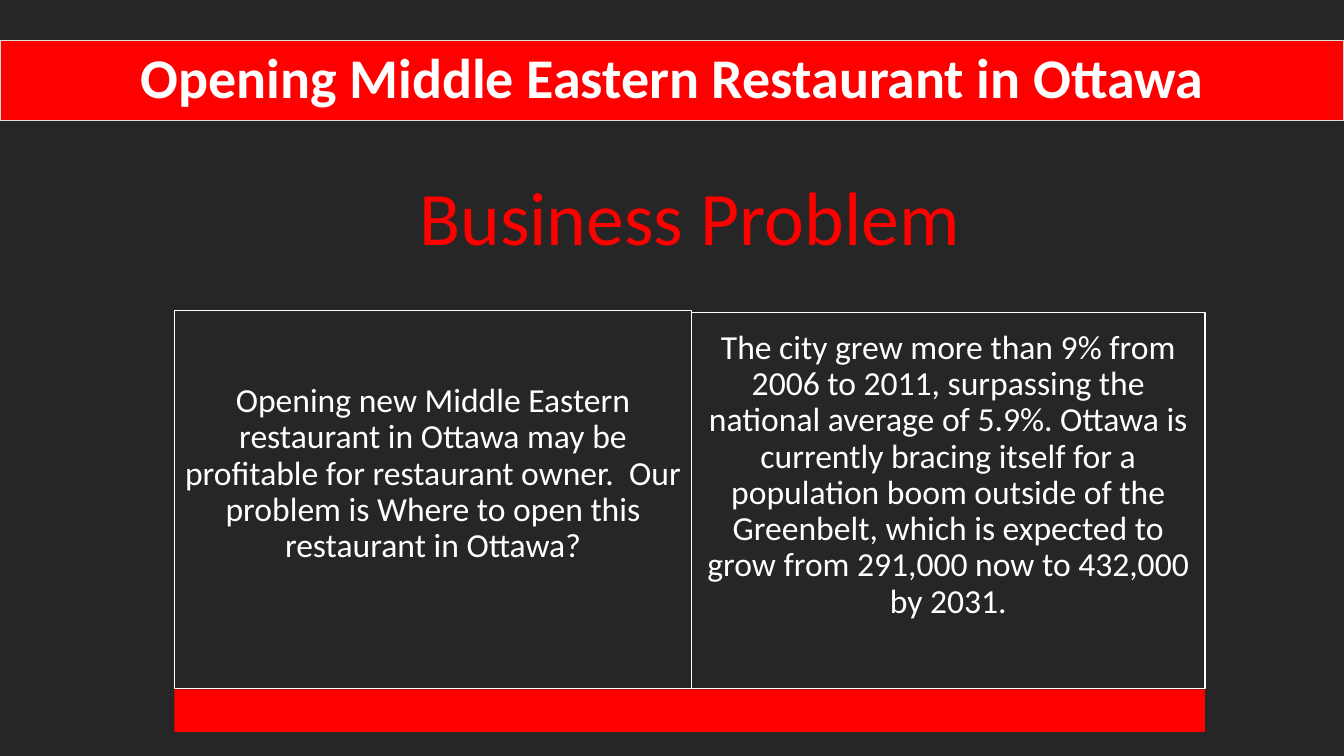
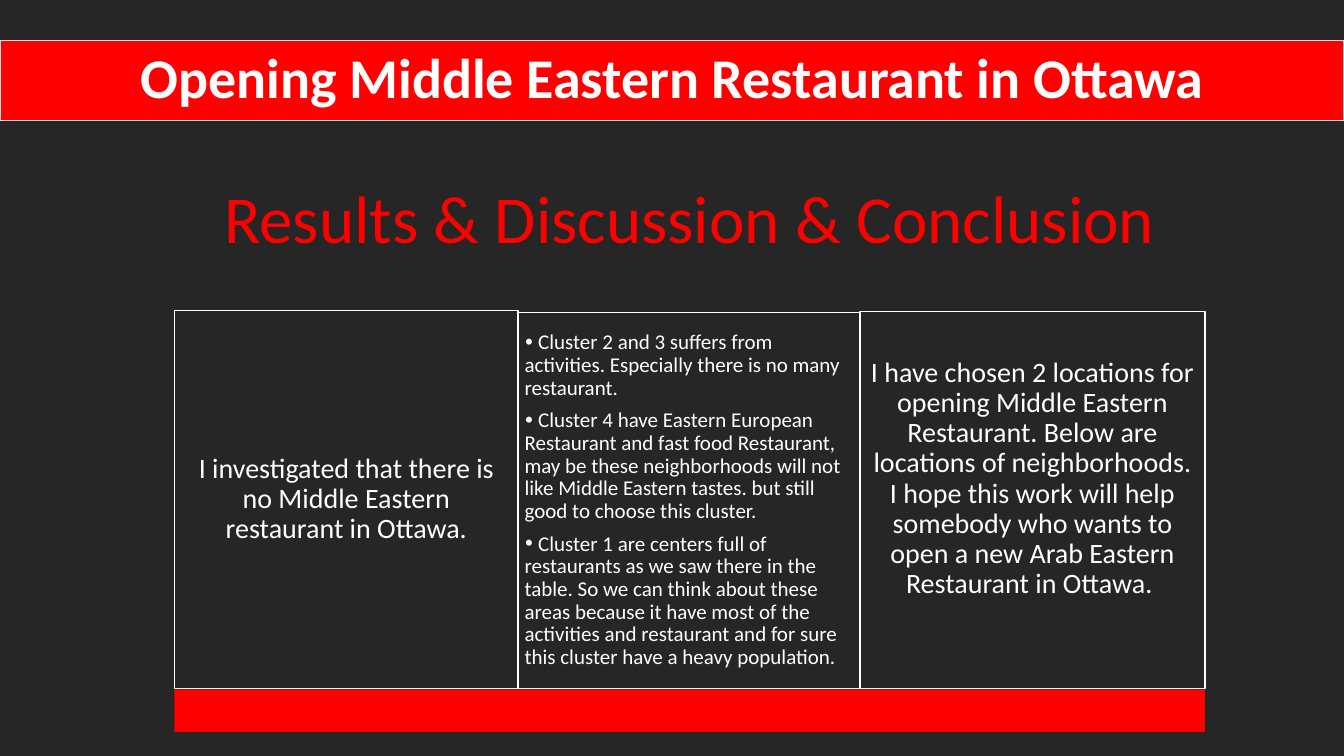
from dataclasses import dataclass

from lxml.etree import SubElement
from pptx import Presentation
from pptx.dml.color import RGBColor
from pptx.enum.shapes import MSO_SHAPE as Shape
from pptx.enum.text import MSO_ANCHOR as Anchor, MSO_AUTO_SIZE as AutoSize, PP_ALIGN as Align
from pptx.oxml.ns import qn
from pptx.util import Inches, Pt


@dataclass(frozen=True)
class Theme:
    background: RGBColor = RGBColor(0x26, 0x26, 0x26)
    accent: RGBColor = RGBColor(0xFF, 0x00, 0x00)
    text: RGBColor = RGBColor(0xFF, 0xFF, 0xFF)
    band_line: RGBColor = RGBColor(0xDD, 0xDD, 0xDD)
    font: str = "Calibri"
    bullet_font: str = "Times New Roman"
    title_size: int = 40
    line_spacing: float = 0.9


THEME = Theme()
TITLE = "Opening Middle Eastern Restaurant in Ottawa"
SLIDE_WIDTH, SLIDE_HEIGHT = 13.33, 7.5
TITLE_TOP, TITLE_HEIGHT = 0.4, 0.8
LEFT, CONTENT_WIDTH = 1.73, 10.22
HEADING_TOP, HEADING_HEIGHT = 1.3, 1.79
PANEL_BOTTOM = 6.83
FOOTER_TOP, FOOTER_HEIGHT = 6.84, 0.42
TITLE_AND_CONTENT, TITLE_ONLY = 1, 5

# A panel with "bullets" is a list; "raised" text sits above the middle.
SLIDES = [
    {
        "heading": "Business Problem",
        "heading_size": 54,
        "panels": [
            {"width": 5.13, "top": 3.08, "size": 24, "raised": True, "text": [
                "Opening new Middle Eastern restaurant in Ottawa may be profitable "
                "for restaurant owner.  Our problem is Where to open this "
                "restaurant in Ottawa?"]},
            {"width": 5.09, "top": 3.1, "size": 24, "raised": True, "text": [
                "The city grew more than 9% from 2006 to 2011, surpassing the "
                "national average of 5.9%. Ottawa is currently bracing itself for "
                "a population boom outside of the Greenbelt, which is expected to "
                "grow from 291,000 now to 432,000 by 2031."]},
        ],
    },
    {
        "heading": "Results & Discussion & Conclusion",
        "heading_size": 48,
        "panels": [
            {"width": 3.41, "top": 3.08, "size": 20, "text": [
                "I investigated that there is no Middle Eastern restaurant in Ottawa."]},
            {"width": 3.39, "top": 3.1, "size": 15, "bullets": True, "text": [
                " Cluster 2 and 3 suffers from activities. Especially there is no "
                "many restaurant.",
                " Cluster 4 have Eastern European Restaurant and fast food "
                "Restaurant, may be these neighborhoods will not like Middle "
                "Eastern tastes. but still good to choose this cluster.",
                " Cluster 1 are centers full of restaurants as we saw there in the "
                "table. So we can think about these areas because it have most of "
                "the activities and restaurant and for sure this cluster have a "
                "heavy population."]},
            {"width": 3.42, "top": 3.09, "size": 20, "raised": True, "text": [
                "I have chosen 2 locations for opening Middle Eastern Restaurant. "
                "Below are locations of neighborhoods. I hope this work will help "
                "somebody who wants to open a new Arab Eastern Restaurant in "
                "Ottawa. "]},
        ],
    },
]


def place(shape, left, top, width, height):
    shape.left, shape.top = Inches(left), Inches(top)
    shape.width, shape.height = Inches(width), Inches(height)


def style_box(shape, fill, line=None, line_width=1):
    shape.fill.solid()
    shape.fill.fore_color.rgb = fill
    if line is None:
        shape.line.fill.background()
    else:
        shape.line.color.rgb = line
        shape.line.width = Pt(line_width)


def write(shape, paragraphs, size, color, align=Align.CENTER, bold=False, raised=False):
    """Fill the shape with text; margins grow with the type size."""
    frame = shape.text_frame
    frame.text = "\n".join(paragraphs)
    frame.word_wrap = True
    frame.auto_size = AutoSize.NONE
    frame.vertical_anchor = Anchor.MIDDLE
    margin = size / 240
    frame.margin_left = frame.margin_right = frame.margin_top = Inches(margin)
    frame.margin_bottom = Inches(margin + (size / 48 if raised else 0))
    for paragraph in frame.paragraphs:
        paragraph.alignment = align
        paragraph.line_spacing = THEME.line_spacing
        paragraph.space_before = Pt(0)
        for run in paragraph.runs:
            run.font.size = Pt(size)
            run.font.name = THEME.font
            run.font.bold = bold
            run.font.color.rgb = color


def add_bullets(shape):
    """Give each paragraph a bullet that its wrapped lines run under."""
    for paragraph in shape.text_frame.paragraphs:
        paragraph.space_after = Pt(7)
        properties = paragraph._p.get_or_add_pPr()
        properties.set("marL", "0")
        properties.set("indent", "0")
        SubElement(properties, qn("a:buSzPct"), val="120000")
        SubElement(properties, qn("a:buFont"), typeface=THEME.bullet_font)
        SubElement(properties, qn("a:buChar"), char="•")


def add_box(slide, *box):
    shape = slide.shapes.add_shape(Shape.RECTANGLE, *map(Inches, box))
    shape.shadow.inherit = False
    return shape


def add_panel(slide, panel, left):
    box = (left, panel["top"], panel["width"], PANEL_BOTTOM - panel["top"])
    bulleted = panel.get("bullets", False)
    if bulleted:
        shape = slide.placeholders[1]
        place(shape, *box)
    else:
        shape = add_box(slide, *box)
    style_box(shape, THEME.background, THEME.text)
    write(shape, panel["text"], panel["size"], THEME.text,
          align=Align.LEFT if bulleted else Align.CENTER,
          raised=panel.get("raised", False))
    if bulleted:
        add_bullets(shape)


def add_slide(presentation, content):
    has_list = any(panel.get("bullets") for panel in content["panels"])
    layout = presentation.slide_layouts[TITLE_AND_CONTENT if has_list else TITLE_ONLY]
    slide = presentation.slides.add_slide(layout)

    title = slide.shapes.title
    place(title, 0, TITLE_TOP, SLIDE_WIDTH, TITLE_HEIGHT)
    style_box(title, THEME.accent, THEME.band_line, 0.75)
    write(title, [TITLE], THEME.title_size, THEME.text, bold=True)
    title.text_frame.margin_top = title.text_frame.margin_bottom = Inches(0.05)

    heading = add_box(slide, LEFT, HEADING_TOP, CONTENT_WIDTH, HEADING_HEIGHT)
    style_box(heading, THEME.background)
    write(heading, [content["heading"]], content["heading_size"], THEME.accent)

    left = LEFT
    for panel in content["panels"]:
        add_panel(slide, panel, left)
        left += panel["width"]

    footer = add_box(slide, LEFT, FOOTER_TOP, CONTENT_WIDTH, FOOTER_HEIGHT)
    style_box(footer, THEME.accent)


def main():
    presentation = Presentation()
    presentation.slide_width = Inches(SLIDE_WIDTH)
    presentation.slide_height = Inches(SLIDE_HEIGHT)
    background = presentation.slide_master.background.fill
    background.solid()
    background.fore_color.rgb = THEME.background
    for content in SLIDES:
        add_slide(presentation, content)
    presentation.save("out.pptx")


if __name__ == "__main__":
    main()
